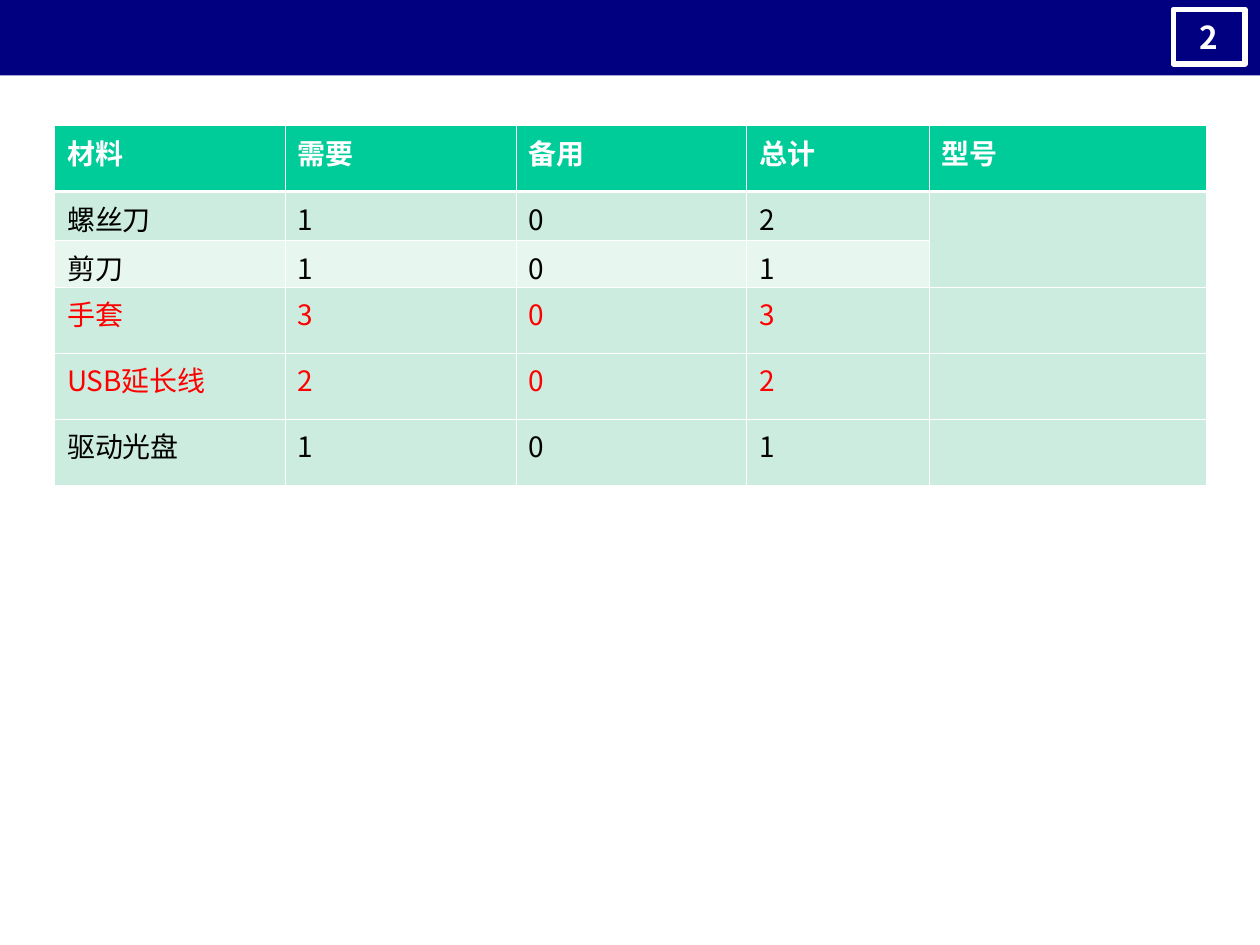
from lxml import etree
from pptx import Presentation
from pptx import util as u
from pptx.dml.color import RGBColor
from pptx.enum import shapes, text
from pptx.oxml.ns import qn

COLORS = {
    "white": "FFFFFF", "navy": "000080", "header": "00CC99", "band": "CBECDE",
    "light": "E7F6EF", "ink": "000000", "alert": "FF0000",
}
FONT = "Noto Sans CJK JP"
THIN, THICK = 0.45, 1.47

# Each row: height in cm, fill, text colour, cell texts
MATERIALS = [
    (1.33, "header", "white", ["材料", "需要", "备用", "总计", "型号"]),
    (0.99, "band", "ink", ["螺丝刀", "1", "0", "2", ""]),
    (0.94, "light", "ink", ["剪刀", "1", "0", "1", ""]),
    (1.33, "band", "alert", ["手套", "3", "0", "3", ""]),
    (1.33, "band", "alert", ["USB延长线", "2", "0", "2", ""]),
    (1.33, "band", "ink", ["驱动光盘", "1", "0", "1", ""]),
]
COLUMN_WIDTHS = [4.65, 4.65, 4.65, 3.68, 5.59]


def apply(target, values):
    for name, value in values.items():
        setattr(target, name, value)


def rgb(name):
    return RGBColor.from_string(COLORS[name])


class SlideBuilder:
    def __init__(self, page):
        self.page = page

    def add_words(self, para, words, size, color, bold=False):
        span = para.add_run()
        span.text = words
        apply(span.font, {"name": FONT, "size": u.Pt(size), "bold": bold})
        span.font.color.rgb = rgb(color)
        east_asian = etree.SubElement(span.font._element, qn("a:ea"))
        east_asian.set("typeface", FONT)

    def rectangle(self, left, top, width, height, fill=None, line=None):
        box = self.page.shapes.add_shape(
            shapes.MSO_SHAPE.RECTANGLE, *map(u.Cm, (left, top, width, height)))
        box.shadow.inherit = False
        if fill:
            box.fill.solid()
            box.fill.fore_color.rgb = rgb(fill)
        else:
            box.fill.background()
        if line:
            box.line.color.rgb = rgb(line)
            box.line.width = u.Pt(3)
        else:
            box.line.fill.background()
        return box

    def badge(self, words, *place):
        frame = self.rectangle(*place, line="white").text_frame
        apply(frame, {"word_wrap": False, "vertical_anchor": text.MSO_ANCHOR.MIDDLE})
        para = frame.paragraphs[0]
        para.alignment = text.PP_ALIGN.CENTER
        self.add_words(para, words, 18, "white", bold=True)

    def borders(self, cell, widths):
        properties = cell._tc.get_or_add_tcPr()
        for index, (side, points) in enumerate(widths.items()):
            line = etree.Element(qn(f"a:ln{side}"), w=str(u.Pt(points)))
            fill = etree.SubElement(line, qn("a:solidFill"))
            etree.SubElement(fill, qn("a:srgbClr"), val=COLORS["white"])
            properties.insert(index, line)

    def table(self, left, top, widths, rows):
        height = sum(row[0] for row in rows)
        table = self.page.shapes.add_table(
            len(rows), len(widths),
            *map(u.Cm, (left, top, sum(widths), height))).table
        for column, width in zip(table.columns, widths):
            column.width = u.Cm(width)
        for r, (height, fill, color, words) in enumerate(rows):
            table.rows[r].height = u.Cm(height)
            for c, word in enumerate(words):
                cell = table.cell(r, c)
                cell.margin_bottom = 0
                cell.fill.solid()
                cell.fill.fore_color.rgb = rgb(fill)
                self.borders(cell, {"L": THIN, "R": THIN,
                                    "T": THICK if r == 1 else THIN,
                                    "B": THICK if r == 0 else THIN})
                if word:
                    self.add_words(cell.text_frame.paragraphs[0], word, 16, color, bold=r == 0)
        return table


def main():
    deck = Presentation()
    apply(deck, {"slide_width": u.Cm(25.4), "slide_height": u.Cm(19.05)})
    builder = SlideBuilder(deck.slides.add_slide(deck.slide_layouts[6]))

    # Title bar and page number
    builder.rectangle(0, 0, 25.4, 1.52, fill="navy")
    builder.badge("2", 23.65, 0.19, 1.45, 1.1)

    # Materials list; the first two items share one model cell
    table = builder.table(1.1, 2.53, COLUMN_WIDTHS, MATERIALS)
    table.cell(1, 4).merge(table.cell(2, 4))

    deck.save("out.pptx")


if __name__ == "__main__":
    main()
